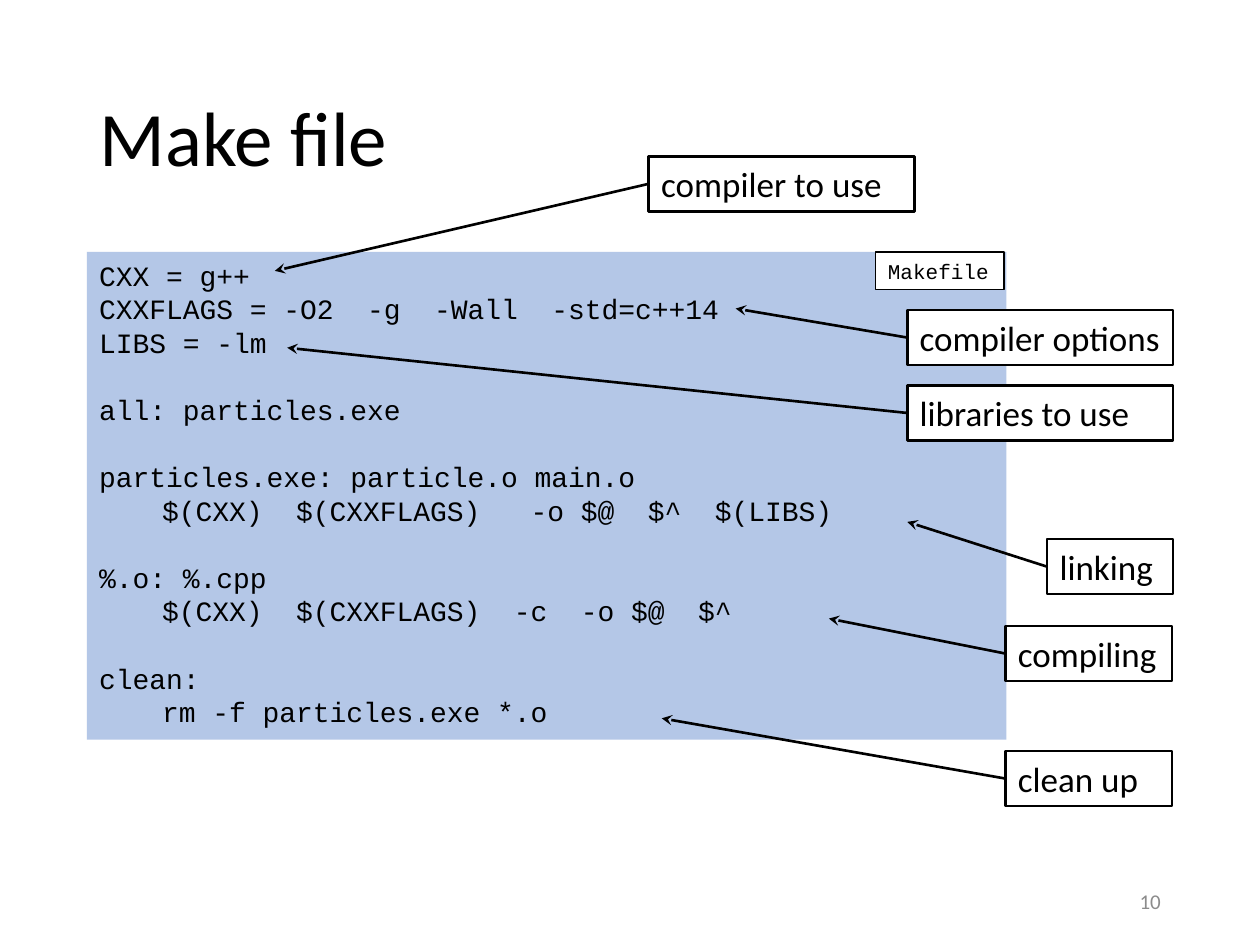
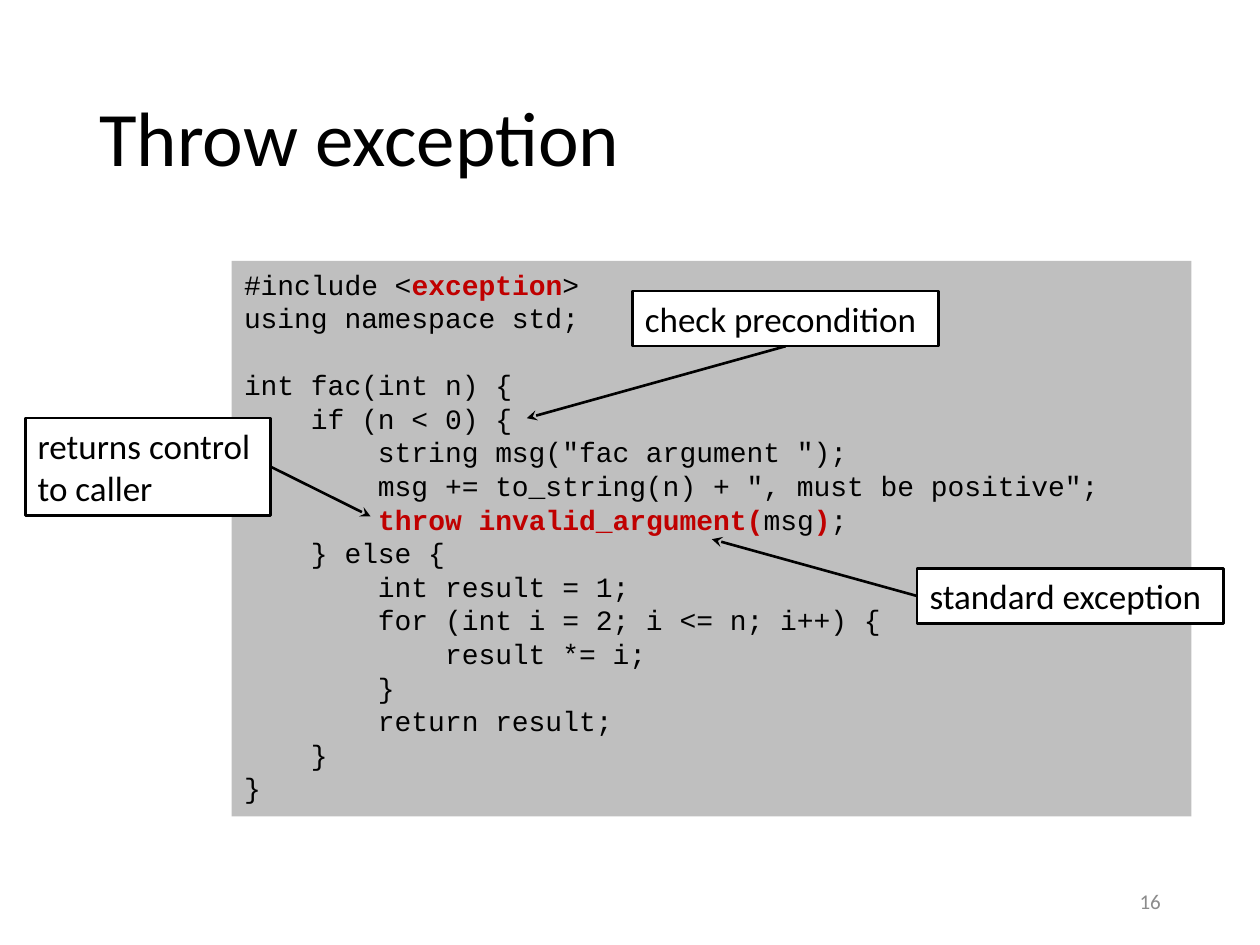
from pptx import Presentation
from pptx.dml.color import RGBColor
from pptx.enum.shapes import MSO_CONNECTOR, MSO_SHAPE
from pptx.enum.text import MSO_ANCHOR, MSO_AUTO_SIZE, PP_ALIGN
from pptx.oxml.ns import qn
from pptx.util import Cm, Pt
from lxml.etree import SubElement

COLORS = {"ink": "000000", "paper": "FFFFFF", "number": "8C8C8C",
          "make": "B4C7E7", "cpp": "BFBFBF", "keyword": "C00000"}
TEXT, CODE = "Calibri", "Courier New"
CODE_LINE = Pt(19.2)  # height of one line of code
TOP, LEFT, BOTTOM, RIGHT = range(4)  # connection sites of a rectangle

MAKEFILE = """CXX = g++
CXXFLAGS = -O2  -g  -Wall  -std=c++14
LIBS = -lm

all: particles.exe

particles.exe: particle.o main.o
\t$(CXX)  $(CXXFLAGS)   -o $@  $^  $(LIBS)

%.o: %.cpp
\t$(CXX)  $(CXXFLAGS)  -c  -o $@  $^

clean:
\trm -f particles.exe *.o"""

# Double asterisks enclose the highlighted code
FACTORIAL = """#include <**exception**>
using namespace std;

int fac(int n) {
    if (n < 0) {
        string msg("fac argument ");
        msg += to_string(n) + ", must be positive";
        **throw invalid_argument(**msg**)**;
    } else {
        int result = 1;
        for (int i = 2; i <= n; i++) {
            result *= i;
        }
        return result;
    }
}"""

# Callouts: text, left, top, width, side the arrow leaves from, arrow tip
SLIDES = [
    {"title": "Make file", "number": "10", "code": MAKEFILE, "fill": "make",
     "box": (1.75, 5.08, 18.54, 9.83), "file": "Makefile",
     "callouts": [
         ("compiler to use", 13.08, 3.15, 5.36, LEFT, (5.54, 5.46)),
         ("compiler options", 18.29, 6.25, 5.36, LEFT, (14.83, 6.22)),
         ("libraries to use", 18.29, 7.77, 5.36, LEFT, (5.79, 7.01)),
         ("linking", 21.11, 10.87, 2.54, LEFT, (18.29, 10.52)),
         ("compiling", 20.27, 12.62, 3.36, LEFT, (16.71, 12.47)),
         ("clean up", 20.27, 15.14, 3.36, LEFT, (13.34, 14.48))]},
    {"title": "Throw exception", "number": "16", "code": FACTORIAL, "fill": "cpp",
     "box": (4.67, 5.26, 19.35, 11.2), "file": None,
     "callouts": [
         ("check precondition", 12.75, 5.87, 6.17, BOTTOM, (10.62, 8.43)),
         ("standard exception", 18.49, 11.46, 6.17, LEFT, (14.35, 10.87)),
         ("returns control\vto caller", 0.51, 8.43, 4.95, RIGHT, (7.47, 10.41))]},
]


def add_box(s, box, fill, line=None):
    """Rectangle with text starting at its top left."""
    sp = s.shapes.add_shape(MSO_SHAPE.RECTANGLE, *[Cm(v) for v in box])
    sp.shadow.inherit = False
    sp.fill.solid()
    sp.fill.fore_color.rgb = RGBColor.from_string(COLORS[fill])
    if line:
        sp.line.color.rgb = RGBColor.from_string(COLORS["ink"])
        sp.line.width = Pt(line)
    else:
        sp.line.fill.background()
    sp.text_frame.word_wrap = True
    sp.text_frame.vertical_anchor = MSO_ANCHOR.TOP
    return sp


def style(p, size, font=TEXT, color="ink", align=PP_ALIGN.LEFT):
    p.alignment = align
    p.font.size = Pt(size)
    p.font.name = font
    p.font.color.rgb = RGBColor.from_string(COLORS[color])


prs = Presentation()
prs.slide_width, prs.slide_height = Cm(25.4), Cm(19.05)

for page in SLIDES:
    s = prs.slides.add_slide(prs.slide_layouts[5])

    # Title
    sp = s.shapes.title
    sp.left, sp.top, sp.width, sp.height = Cm(1.75), Cm(1.02), Cm(21.9), Cm(3.68)
    tf = sp.text_frame
    tf.text = page["title"]
    tf.auto_size = MSO_AUTO_SIZE.NONE
    tf.vertical_anchor = MSO_ANCHOR.MIDDLE
    tf.paragraphs[0].line_spacing = 0.9
    style(tf.paragraphs[0], 44)

    # Slide number
    tf = s.shapes.add_textbox(Cm(17.93), Cm(17.65), Cm(5.72), Cm(1.02)).text_frame
    tf.word_wrap = True
    tf.vertical_anchor = MSO_ANCHOR.MIDDLE
    tf.text = page["number"]
    style(tf.paragraphs[0], 12, color="number", align=PP_ALIGN.RIGHT)

    # Code listing: an empty line becomes space before the next one
    tf = add_box(s, page["box"], page["fill"]).text_frame
    p, gap = tf.paragraphs[0], False
    for i, line in enumerate(page["code"].split("\n")):
        if not line:
            gap = True
            continue
        if i:
            p = tf.add_paragraph()
        style(p, 16, CODE)
        if gap:
            p.space_before = CODE_LINE
            gap = False
        for j, part in enumerate(line.split("**")):
            if part:
                r = p.add_run()
                r.text = part
                if j % 2:
                    r.font.bold = True
                    r.font.color.rgb = RGBColor.from_string(COLORS["keyword"])

    # File name tag
    if page["file"]:
        tf = add_box(s, (17.65, 5.08, 2.59, 0.76), "paper", 0.75).text_frame
        tf.word_wrap = False
        tf.text = page["file"]
        style(tf.paragraphs[0], 12, CODE)

    # Callouts with arrows into the code
    for text, x, y, w, side, tip in page["callouts"]:
        h = 1.96 if "\v" in text else 1.11
        sp = add_box(s, (x, y, w, h), "paper", 1.5)
        p = sp.text_frame.paragraphs[0]
        p.text = text
        style(p, 20)

        tip_x, tip_y = Cm(tip[0]), Cm(tip[1])
        cx = s.shapes.add_connector(MSO_CONNECTOR.STRAIGHT, Cm(x), Cm(y), tip_x, tip_y)
        cx.begin_connect(sp, side)
        cx.line.color.rgb = RGBColor.from_string(COLORS["ink"])
        cx.line.width = Pt(1.5)
        SubElement(cx.line._get_or_add_ln(), qn("a:tailEnd"), type="stealth")
        SubElement(cx._element.spPr, qn("a:effectLst"))

prs.save("out.pptx")
